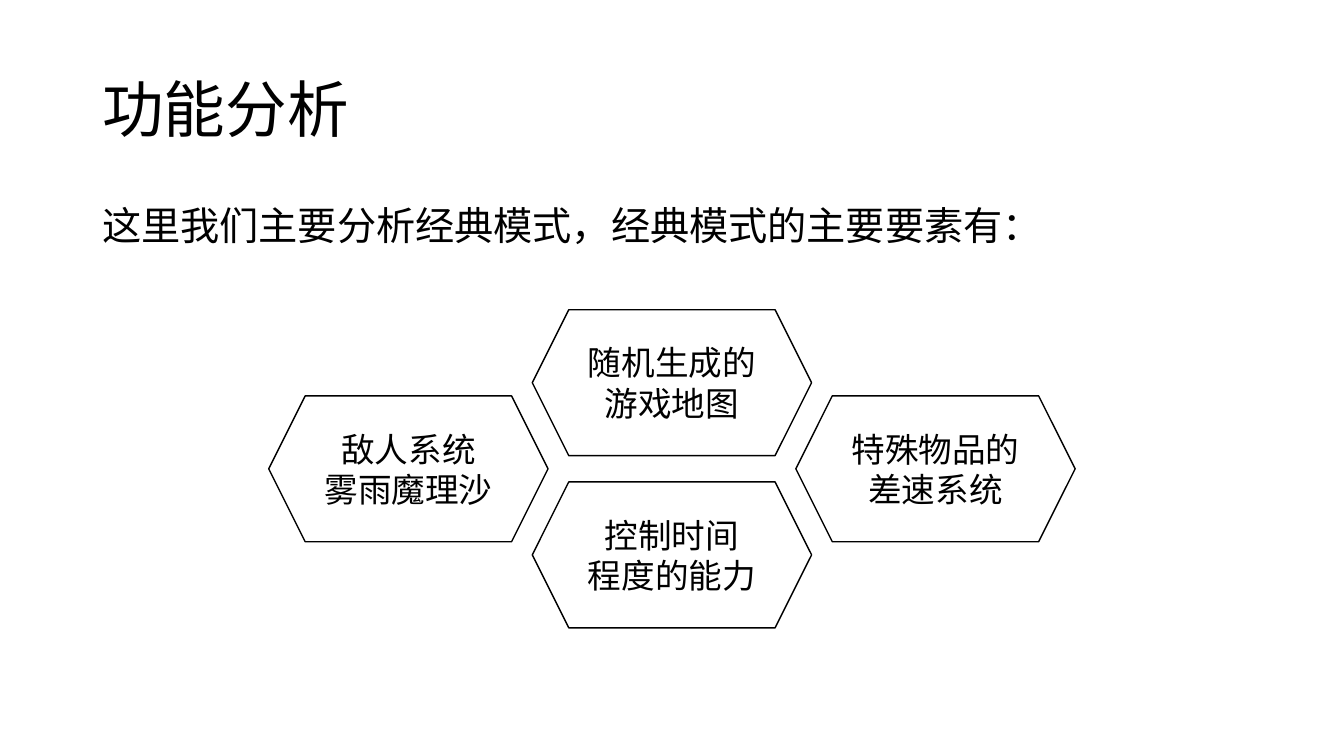
from lxml import etree
from pptx import Presentation
from pptx.dml.color import RGBColor
from pptx.enum.shapes import MSO_SHAPE
from pptx.enum.text import MSO_ANCHOR, PP_ALIGN
from pptx.oxml.ns import qn
from pptx.util import Pt

PX = 9525
BLACK = RGBColor(0x00, 0x00, 0x00)
WHITE = RGBColor(0xFF, 0xFF, 0xFF)
HEXAGON = MSO_SHAPE.HEXAGON
TOP, MIDDLE = MSO_ANCHOR.TOP, MSO_ANCHOR.MIDDLE
LEFT, CENTER = PP_ALIGN.LEFT, PP_ALIGN.CENTER
FONT = "Noto Sans CJK SC"

ELEMENTS = [
    (1, 0, ["随机生成的", "游戏地图"]),
    (1, 2, ["控制时间", "程度的能力"]),
    (2, 1, ["特殊物品的", "差速系统"]),
    (0, 1, ["敌人系统", "雾雨魔理沙"]),
]
HONEYCOMB_LEFT, HONEYCOMB_TOP = 256, 295
COLUMN_STEP, ROW_STEP = 251, 82
CELL_WIDTH, CELL_HEIGHT = 266, 139


def write_text(frame, lines, size, align=LEFT, anchor=TOP, spacing=None, before=0):
    """Fill a text frame with one paragraph per line in the given format."""
    frame.word_wrap = True
    frame.vertical_anchor = anchor
    for index, line in enumerate(lines):
        para = frame.paragraphs[0] if index == 0 else frame.add_paragraph()
        para.alignment = align
        para.space_before = Pt(before)
        if spacing:
            para.line_spacing = spacing
        span = para.add_run()
        span.text = line
        span.font.name = FONT
        span.font.size = Pt(size)
        span.font.color.rgb = BLACK
        east_asian = etree.SubElement(span.font._element, qn("a:ea"))
        east_asian.set("typeface", FONT)


class SlideBuilder:
    """Hold the current slide and its style, and add elements in px."""

    def __init__(self, page):
        self.page = page
        self.honeycomb = page.shapes.add_group_shape()

    def text(self, left, top, width, height, lines, **style):
        """Add a text box."""
        box = self.page.shapes.add_textbox(left * PX, top * PX, width * PX, height * PX)
        write_text(box.text_frame, lines, **style)

    def hexagon(self, column, row, lines):
        """Add an outlined hexagon to the honeycomb."""
        left = HONEYCOMB_LEFT + column * COLUMN_STEP
        top = HONEYCOMB_TOP + row * ROW_STEP
        cell = self.honeycomb.shapes.add_shape(
            HEXAGON, left * PX, top * PX, CELL_WIDTH * PX, CELL_HEIGHT * PX)
        cell.shadow.inherit = False
        cell.fill.solid()
        cell.fill.fore_color.rgb = WHITE
        cell.line.color.rgb = BLACK
        cell.line.width = Pt(1)
        write_text(cell.text_frame, lines, size=24, align=CENTER, anchor=MIDDLE)


def main():
    """Build and save the slide."""
    deck = Presentation()
    deck.slide_width, deck.slide_height = 1280 * PX, 720 * PX
    builder = SlideBuilder(deck.slides.add_slide(deck.slide_layouts[6]))
    builder.text(88, 38, 1104, 139, ["功能分析"], size=44, anchor=MIDDLE, spacing=0.9)
    builder.text(88, 192, 1104, 457, ["这里我们主要分析经典模式，经典模式的主要要素有："],
                 size=28, spacing=0.9, before=10)
    for column, row, lines in ELEMENTS:
        builder.hexagon(column, row, lines)
    deck.save("out.pptx")


if __name__ == "__main__":
    main()
